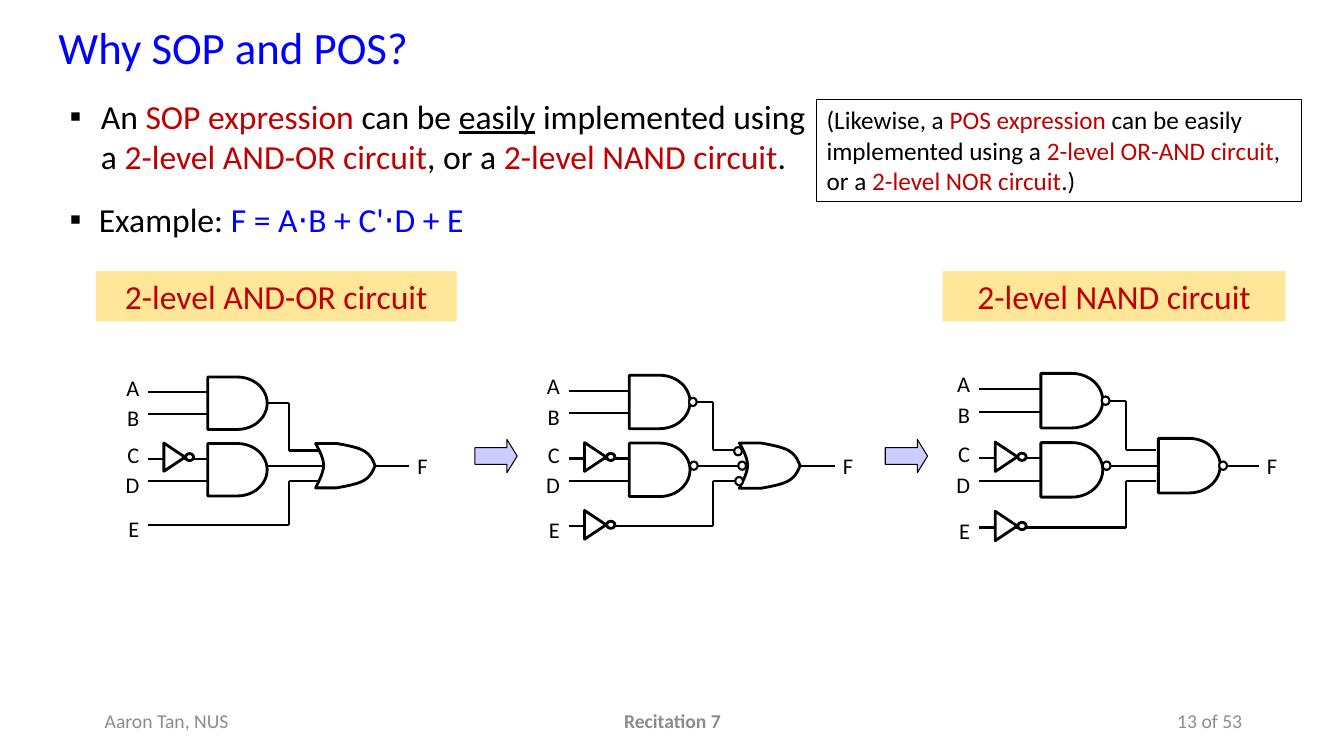
from dataclasses import dataclass
from typing import NamedTuple

from lxml.etree import SubElement
from pptx import Presentation
from pptx.dml.color import RGBColor as Color
from pptx.enum.shapes import MSO_CONNECTOR as Connector, MSO_SHAPE as Preset
from pptx.enum.text import MSO_ANCHOR as Anchor, MSO_AUTO_SIZE as AutoSize, PP_ALIGN as Align
from pptx.oxml.ns import qn
from pptx.util import Inches, Pt

CELL = Inches(0.1)  # one column or row of the slide grid


@dataclass(frozen=True)
class Theme:
    font: str = "Calibri"
    ink: str = "000000"
    blue: str = "0000FF"
    red: str = "C00000"
    grey: str = "8C8C8C"
    paper: str = "FFFFFF"
    sand: str = "FFE699"
    lilac: str = "CCCCFF"
    title: int = 32
    body: int = 24
    note: int = 18
    label: int = 16
    footer: int = 14
    thin: float = 0.75
    wire: float = 1.5
    gate: float = 2


THEME = Theme()


class Area(NamedTuple):
    column: float
    row: float
    columns: float
    rows: float

    def emu(self) -> list[int]:
        return [round(value * CELL) for value in self]


class Span(NamedTuple):
    text: str
    color: str = THEME.ink
    underline: bool = False


class Point(NamedTuple):
    x: float
    y: float


@dataclass(frozen=True)
class Circuit:
    """A gate diagram; its inputs start at column, its middle wire is at AXIS."""
    column: float
    scale: float
    bubbles: tuple[Point, ...]
    inverters: tuple[float, ...]
    nand_output: bool
    output: float

    def area(self, x: float, y: float, width: float, height: float) -> Area:
        s = self.scale
        return Area(self.column + x * s, AXIS + y * s, width * s, height * s)

    def point(self, x: float, y: float) -> list[int]:
        return self.area(x, y, 0, 0).emu()[:2]


# Circuit geometry in grid cells, measured from the start of the middle wire
AXIS = 46.2
INPUT_ROWS = {"A": -7.3, "B": -5.1, "C": -0.7, "D": 1.5, "E": 5.9}
LABEL_TOPS = {"A": -9.6, "B": -6.6, "C": -2.9, "D": 0, "E": 4.4}
GATE = Point(5.9, 5.2)
GATE_LEFT, GATE_TOPS = 5.9, (-8.8, -2.2)
GATE_RIGHT = GATE_LEFT + GATE.x
BUS, BUS_END, BRANCH = 14, 16.9, 1.5
OR_CURVES = (
    (Point(18.7, -2.2), Point(19.8, -2), Point(20.9, -1.8), Point(21.5, -1.4)),
    (Point(21.5, -1.4), Point(22.1, -1), Point(22.3, -0.5), Point(22.5, 0)),
    (Point(22.5, 0), Point(22.3, 0.5), Point(22.1, 1), Point(21.5, 1.4)),
    (Point(21.5, 1.4), Point(20.9, 1.8), Point(19.8, 2), Point(18.7, 2.2)),
    (Point(16.6, 2.2), Point(16.8, 1.8), Point(17.4, 0.7), Point(17.4, 0)),
    (Point(17.4, 0), Point(17.4, -0.7), Point(17, -1.5), Point(16.6, -2.2)),
)
GATE_BUBBLES = (Point(12.1, -6.2), Point(12.2, 0))
OR_BUBBLES = (Point(16.5, -1.4), Point(16.9, 0), Point(16.6, 1.5))
CIRCUITS = (
    Circuit(14.7, 1, (), (-0.7,), False, 22.6),
    Circuit(56.4, 1.02, GATE_BUBBLES + OR_BUBBLES, (-0.7, 5.9), False, 22.6),
    Circuit(97.1, 1.04, GATE_BUBBLES + (Point(23.3, 0),), (-0.7, 5.9), True, 23.4),
)


def write(paragraph, spans: list[Span], size: int, align: Align = Align.LEFT, bold: bool = False) -> None:
    paragraph.alignment = align
    font = paragraph.font
    font.name, font.size, font.bold = THEME.font, Pt(size), bold
    for part in spans:
        span = paragraph.add_run()
        span.text = part.text
        span.font.color.rgb = Color.from_string(part.color)
        if part.underline:
            span.font.underline = True


def add_bullet(paragraph, indent: float) -> None:
    properties = paragraph._p.get_or_add_pPr()
    properties.set("marL", str(Inches(indent)))
    properties.set("indent", str(-Inches(indent)))
    SubElement(properties, qn("a:buFont")).set("typeface", "Arial")
    SubElement(properties, qn("a:buChar")).set("char", "▪")


def set_frame(box, anchor: Anchor = Anchor.TOP):
    frame = box.text_frame
    frame.word_wrap, frame.auto_size, frame.vertical_anchor = True, AutoSize.NONE, anchor
    return frame


def add_text(shapes, area: Area, span: Span, size: int, align: Align = Align.LEFT,
             anchor: Anchor = Anchor.TOP, bold: bool = False) -> None:
    frame = set_frame(shapes.add_textbox(*area.emu()), anchor)
    write(frame.paragraphs[0], [span], size, align, bold)


def style(shape, fill: str | None, width: float) -> None:
    shape.shadow.inherit = False
    if fill:
        shape.fill.solid()
        shape.fill.fore_color.rgb = Color.from_string(fill)
    else:
        shape.fill.background()
    if width:
        shape.line.color.rgb = Color.from_string(THEME.ink)
        shape.line.width = Pt(width)
    else:
        shape.line.fill.background()


def add_preset(shapes, preset: Preset, area: Area, fill: str | None = None, width: float = 0):
    shape = shapes.add_shape(preset, *area.emu())
    style(shape, fill, width)
    return shape


def add_wire(shapes, circuit: Circuit, start: Point, end: Point):
    wire = shapes.add_connector(Connector.STRAIGHT, *circuit.point(*start), *circuit.point(*end))
    wire.line.color.rgb = Color.from_string(THEME.ink)
    wire.line.width = Pt(THEME.wire)
    SubElement(wire._element.spPr, qn("a:effectLst"))
    return wire


def bezier(curve: tuple[Point, ...], steps: int = 8) -> list[Point]:
    points = []
    for step in range(steps + 1):
        t = step / steps
        weights = ((1 - t) ** 3, 3 * t * (1 - t) ** 2, 3 * t * t * (1 - t), t ** 3)
        points.append(Point(sum(w * p.x for w, p in zip(weights, curve)),
                            sum(w * p.y for w, p in zip(weights, curve))))
    return points


def add_or_gate(shapes, circuit: Circuit) -> None:
    start, *rest = [circuit.point(*p) for curve in OR_CURVES for p in bezier(curve)]
    builder = shapes.build_freeform(*start, scale=1.0)
    builder.add_line_segments(rest, close=True)
    style(builder.convert_to_shape(), None, THEME.gate)


def add_inverter(shapes, circuit: Circuit, row: float) -> None:
    triangle = add_preset(shapes, Preset.FLOWCHART_MERGE, circuit.area(1.2, row - 1.2, 2.8, 2.1),
                          THEME.paper, THEME.gate)
    triangle.rotation = 270
    add_preset(shapes, Preset.OVAL, circuit.area(3.7, row - 0.5, 0.8, 0.7), THEME.paper, THEME.gate)


def draw_circuit(slide, circuit: Circuit) -> None:
    shapes = slide.shapes.add_group_shape().shapes
    # Inputs and their names
    for name, row in INPUT_ROWS.items():
        add_wire(shapes, circuit, Point(0, row), Point(BUS if name == "E" else GATE_LEFT, row))
        add_text(shapes, circuit.area(-3.6, LABEL_TOPS[name], 3.7, 3.3), Span(name), THEME.label, Align.RIGHT)
    # First level gates and the wires to the second level
    first, _ = [add_preset(shapes, Preset.FLOWCHART_DELAY, circuit.area(GATE_LEFT, top, *GATE),
                           None, THEME.gate) for top in GATE_TOPS]
    bus_top = GATE_TOPS[0] + GATE.y / 2
    add_wire(shapes, circuit, Point(GATE_RIGHT, bus_top), Point(BUS, bus_top)).begin_connect(first, 3)
    add_wire(shapes, circuit, Point(GATE_RIGHT, 0), Point(17.1 if circuit.nand_output else 17.4, 0))
    for turn, far in ((-BRANCH, bus_top), (BRANCH, INPUT_ROWS["E"])):
        add_wire(shapes, circuit, Point(BUS, far), Point(BUS, turn))
        add_wire(shapes, circuit, Point(BUS, turn), Point(BUS_END, turn))
    # Second level gate and output
    if circuit.nand_output:
        add_preset(shapes, Preset.FLOWCHART_DELAY, circuit.area(17.1, -2.6, *GATE), None, THEME.gate)
    else:
        add_or_gate(shapes, circuit)
    add_wire(shapes, circuit, Point(circuit.output, 0), Point(circuit.output + 3.3, 0))
    add_text(shapes, circuit.area(circuit.output + 3.1, -1.8, 3.5, 3.7), Span("F"), THEME.label)
    # Negations
    for row in circuit.inverters:
        add_inverter(shapes, circuit, row)
    for x, y in circuit.bubbles:
        add_preset(shapes, Preset.OVAL, circuit.area(x - 0.4, y - 0.4, 0.75, 0.8), THEME.paper, THEME.wire)


def main() -> None:
    deck = Presentation()
    deck.slide_width, deck.slide_height = Inches(13.33), Inches(7.5)
    slide = deck.slides.add_slide(deck.slide_layouts[1])
    title, body = slide.placeholders
    red, ink = THEME.red, THEME.ink

    # Title and list
    for box, area in ((title, Area(4.8, 1.5, 43.7, 7.6)), (body, Area(5.9, 9, 76.6, 15.4))):
        box.left, box.top, box.width, box.height = area.emu()
        set_frame(box)
    write(title.text_frame.paragraphs[0], [Span("Why SOP and POS?", THEME.blue)], THEME.title)
    claim = body.text_frame.paragraphs[0]
    example = body.text_frame.add_paragraph()
    for para, indent, space in ((claim, 0.31, 0), (example, 0.29, 16)):
        add_bullet(para, indent)
        para.space_before = Pt(space)
    write(claim, [Span("An "), Span("SOP expression ", red), Span("can be "), Span("easily", ink, True),
                  Span(" implemented using a "), Span("2-level AND-OR circuit", red), Span(", or a "),
                  Span("2-level NAND circuit", red), Span(".")], THEME.body)
    write(example, [Span("Example: "), Span("F = A⋅B + C'⋅D + E", THEME.blue)], THEME.body)

    # Side note
    note = add_preset(slide.shapes, Preset.RECTANGLE, Area(81, 9.9, 48.1, 10.1), None, THEME.thin)
    write(set_frame(note).paragraphs[0],
          [Span("(Likewise, a "), Span("POS expression ", red), Span("can be easily implemented using a "),
           Span("2-level OR-AND circuit", red), Span(", or a "), Span("2-level NOR circuit", red),
           Span(".)")], THEME.note)

    # Captions, circuits and the arrows between them
    for text, area in (("2-level AND-OR circuit", Area(9.5, 26.9, 35.8, 5)),
                       ("2-level NAND circuit", Area(93.5, 26.9, 34, 5))):
        caption = add_preset(slide.shapes, Preset.RECTANGLE, area, THEME.sand)
        write(set_frame(caption).paragraphs[0], [Span(text, red)], THEME.body, Align.CENTER)
    for circuit in CIRCUITS:
        draw_circuit(slide, circuit)
    for column in (47.1, 87.8):
        arrow = add_preset(slide.shapes, Preset.RIGHT_ARROW, Area(column, 43.6, 4.2, 3.3), THEME.lilac, THEME.thin)
        arrow.adjustments[1] = 0.31

    # Footer
    for text, column, columns, align in (("Aaron Tan, NUS", 9.4, 30, Align.LEFT),
                                         ("Recitation 7", 44.2, 45, Align.CENTER),
                                         ("13 of 53", 94.2, 30, Align.RIGHT)):
        add_text(slide.shapes, Area(column, 69.5, columns, 4), Span(text, THEME.grey), THEME.footer,
                 align, Anchor.MIDDLE, bold=align == Align.CENTER)
    deck.save("out.pptx")


if __name__ == "__main__":
    main()
